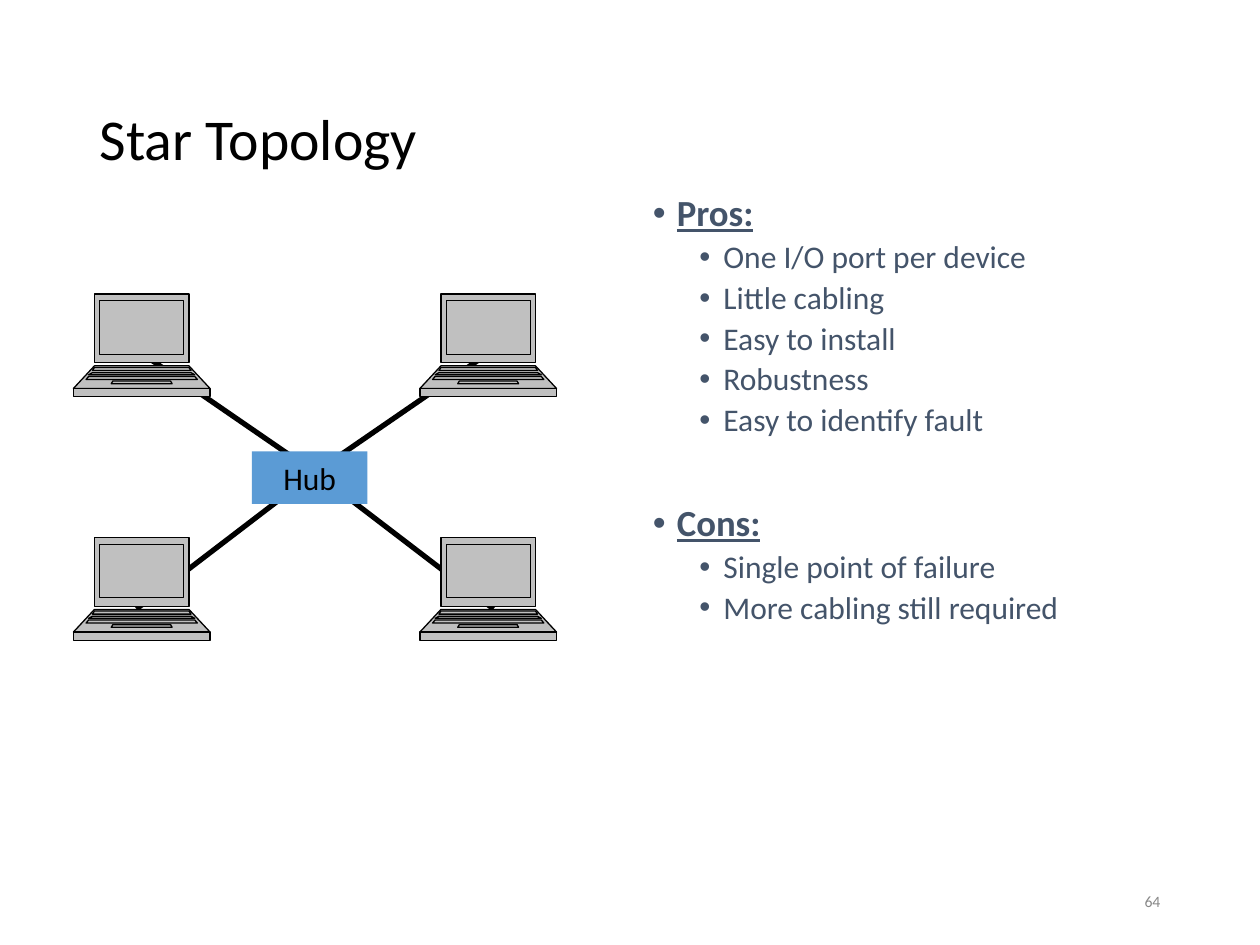
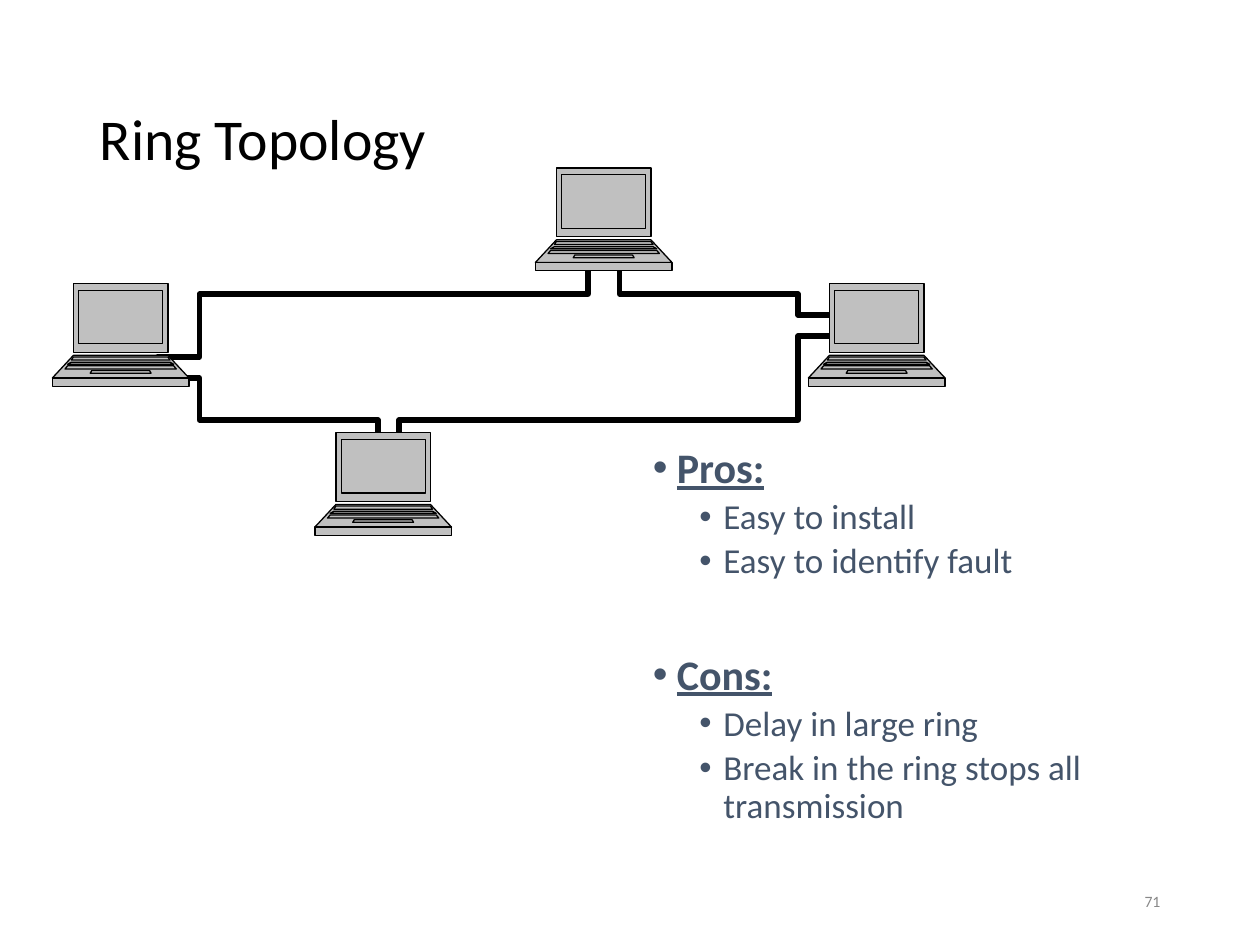
from copy import deepcopy

from lxml.etree import SubElement
from pptx import Presentation
from pptx.dml.color import RGBColor
from pptx.enum.shapes import MSO_CONNECTOR as Connector, MSO_SHAPE as Shape
from pptx.enum.text import MSO_ANCHOR as Anchor, MSO_AUTO_SIZE as AutoSize, PP_ALIGN as Align
from pptx.oxml.ns import qn
from pptx.util import Inches, Pt

COLORS = {"ink": "000000", "text": "44546A", "number": "888888", "hub": "5B9BD5", "laptop": "C0C0C0"}
COLOR = {name: RGBColor.from_string(value) for name, value in COLORS.items()}
FONT = "Calibri"
CELL = Inches(1 / 12)  # the slide is a grid of 120 by 90 cells
PART = CELL / 20  # laptops are drawn in twentieths of a cell
LAPTOP_WIDTH = 260
# Each part of a laptop: top, bottom, side inset at the top, side inset at the bottom
LAPTOP_PARTS = [
    (0, 131, 40, 40), (137, 180, 40, 0), (180, 196, 0, 0), (13, 115, 50, 50),
    (140, 146, 40, 36), (166, 171, 75, 72), (150, 154, 36, 29), (157, 163, 29, 24),
]

STAR_CENTER = (30, 45)
STAR_ENDS = [(14, 34), (46, 34), (13, 58), (47, 58)]
RING = [
    (36, 44), (36, 40), (19, 40), (19, 36), (15, 36), (15, 34), (19, 34), (19, 28), (56, 28), (56, 24),
    (59, 24), (59, 28), (76, 28), (76, 30), (80, 30), (80, 32), (76, 32), (76, 40), (38, 40), (38, 44),
]
SLIDES = [
    {
        "title": "Star Topology", "number": "64",
        "laptops": [(7, 51.2), (40, 28), (7, 28), (40, 51.2)],
        "body": (61, 18, 53, 65), "sizes": (21, 18),
        "lists": {
            "Pros:": ["One I/O port per device", "Little cabling", "Easy to install", "Robustness",
                      "Easy to identify fault"],
            "Cons:": ["Single point of failure", "More cabling still required"],
        },
    },
    {
        "title": "Ring Topology", "number": "71",
        "laptops": [(51, 16), (77, 27), (5, 27), (30, 41.2)],
        "body": (61, 42, 53, 44), "sizes": (24, 20),
        "lists": {
            "Pros:": ["Easy to install", "Easy to identify fault"],
            "Cons:": ["Delay in large ring", "Break in the ring stops all transmission"],
        },
    },
]


def cells(*counts):
    return [round(count * CELL) for count in counts]


def style(paragraph, size, color, align=Align.LEFT):
    paragraph.alignment = align
    paragraph.font.name = FONT
    paragraph.font.size = Pt(size)
    paragraph.font.color.rgb = COLOR[color]


deck = Presentation()
deck.slide_width, deck.slide_height = cells(120, 90)

for content in SLIDES:
    page = deck.slides.add_slide(deck.slide_layouts[5])
    shapes = page.shapes

    title = shapes.title
    title.left, title.top, title.width, title.height = cells(8.3, 4.8, 103.4, 17.4)
    title.text_frame.text = content["title"]
    title.text_frame.auto_size = AutoSize.NONE
    title.text_frame.vertical_anchor = Anchor.MIDDLE
    title.text_frame.paragraphs[0].line_spacing = 0.9
    style(title.text_frame.paragraphs[0], 33, "ink")

    number = shapes.add_textbox(*cells(84.7, 83.4, 27, 4.8)).text_frame
    number.word_wrap = True
    number.vertical_anchor = Anchor.MIDDLE
    number.text = content["number"]
    style(number.paragraphs[0], 9, "number", Align.RIGHT)

    # Cabling lies behind the laptops
    if content["title"] == "Star Topology":
        for end in STAR_ENDS:
            cable = shapes.add_connector(Connector.STRAIGHT, *cells(*STAR_CENTER, *end))
            cable.line.color.rgb = COLOR["ink"]
            cable.line.width = Pt(3)
            SubElement(cable._element.spPr, qn("a:effectLst"))
    else:
        builder = shapes.build_freeform(*RING[0], scale=CELL)
        builder.add_line_segments(RING[1:], close=False)
        ring = builder.convert_to_shape()
        ring.shadow.inherit = False
        ring.fill.background()
        ring.line.color.rgb = COLOR["ink"]
        ring.line.width = Pt(3)

    body = shapes.add_textbox(*cells(*content["body"])).text_frame
    body.word_wrap = True
    heading_size, item_size = content["sizes"]
    rows = [(text, heading == text) for heading, items in content["lists"].items() for text in [heading, *items]]
    for index, (text, is_heading) in enumerate(rows):
        para = body.paragraphs[0] if index == 0 else body.add_paragraph()
        para.text = text
        para.line_spacing = 0.9
        if index:
            para.space_before = Pt(15 + 1.1 * heading_size if is_heading else 3.8)
        para.level = 0 if is_heading else 1
        properties = para._p.get_or_add_pPr()
        properties.set("marL", str(Inches(0.19 if is_heading else 0.56)))
        properties.set("indent", str(Inches(-0.19)))
        SubElement(properties, qn("a:buFont"), typeface="Arial")
        SubElement(properties, qn("a:buChar"), char="•")
        style(para, heading_size if is_heading else item_size, "text")
        para.font.bold = para.font.underline = is_heading

    for left, top in content["laptops"]:
        builder = None
        for upper, lower, inset, lower_inset in LAPTOP_PARTS:
            if builder is None:
                builder = shapes.build_freeform(inset, upper, scale=PART)
            else:
                builder.move_to(inset, upper)
            builder.add_line_segments([(LAPTOP_WIDTH - inset, upper), (LAPTOP_WIDTH - lower_inset, lower),
                                       (lower_inset, lower)])
        laptop = builder.convert_to_shape(*cells(left, top))
        laptop.shadow.inherit = False
        laptop.fill.solid()
        laptop.fill.fore_color.rgb = COLOR["laptop"]
        laptop.line.color.rgb = COLOR["ink"]
        laptop.line.width = Pt(0.75)

        # One path per part, so that overlapping parts are all filled
        outline = laptop._element.spPr.find(".//" + qn("a:path"))
        steps_per_part = len(outline) // len(LAPTOP_PARTS)
        for first in range(0, len(outline), steps_per_part):
            part = deepcopy(outline)
            part[:] = part[first:first + steps_per_part]
            outline.getparent().append(part)
        outline.getparent().remove(outline)

    if content["title"] == "Star Topology":
        hub = shapes.add_shape(Shape.RECTANGLE, *cells(24, 43, 11, 5))
        hub.shadow.inherit = False
        hub.fill.solid()
        hub.fill.fore_color.rgb = COLOR["hub"]
        hub.line.fill.background()
        hub.text_frame.text = "Hub"
        hub.text_frame.vertical_anchor = Anchor.MIDDLE
        style(hub.text_frame.paragraphs[0], 18, "ink", Align.CENTER)

deck.save("out.pptx")
